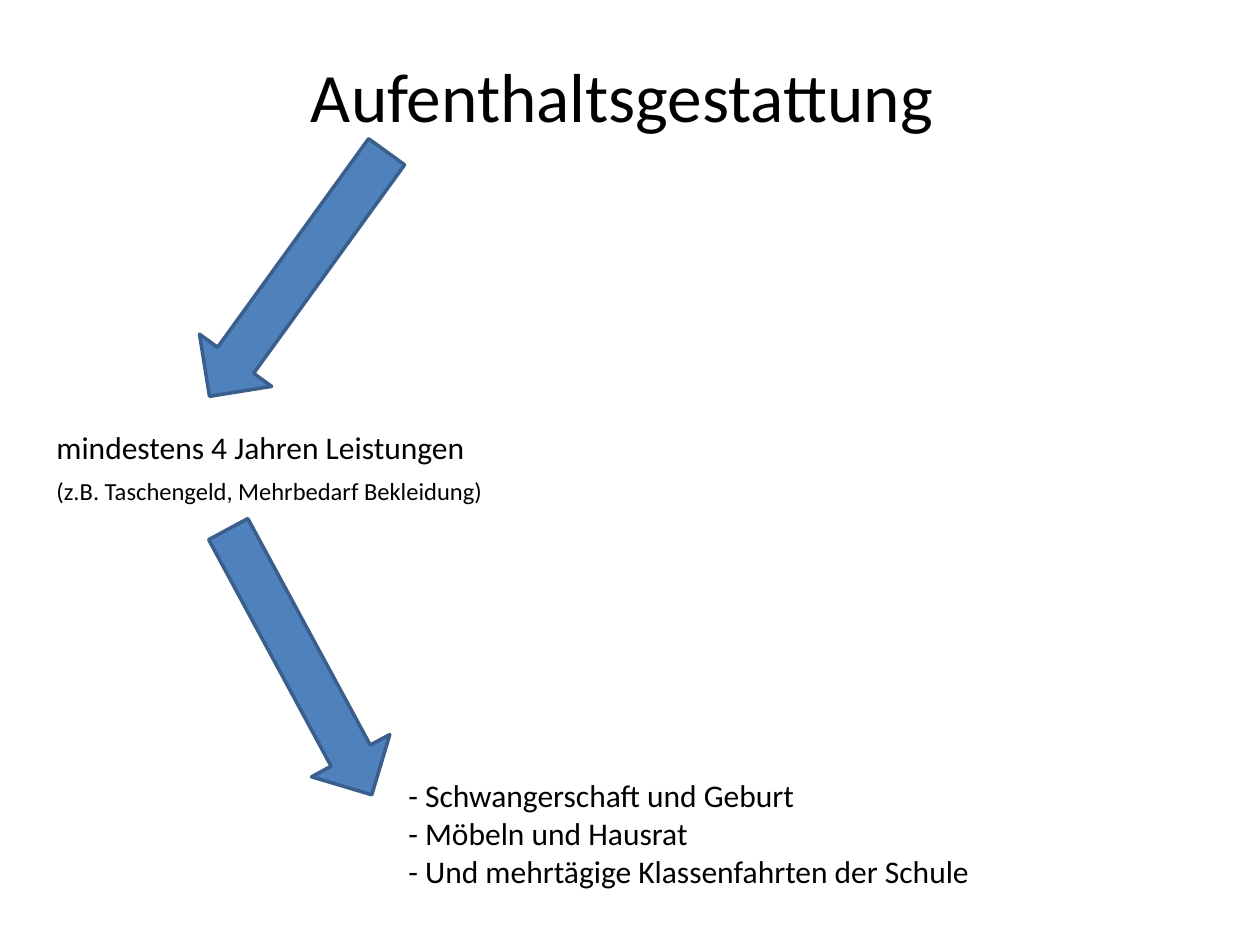
from pptx import Presentation
from pptx.dml.color import RGBColor
from pptx.enum.shapes import MSO_SHAPE as Shape
from pptx.enum.text import MSO_ANCHOR as Anchor, MSO_AUTO_SIZE as AutoSize, PP_ALIGN as Align
from pptx.util import Emu, Pt

PX = 914400 // 126
FONT = "Calibri"
COLORS = {"text": "000000", "arrow": "4F81BD", "edge": "3A5F8C"}

TITLE = "Aufenthaltsgestattung "
TITLE_BOX = (282, 26, 696, 137)
TEXTS = [
    (["mindestens 4 Jahren Leistungen"], (44, 422, 446, 50), 18, False),
    (["(z.B. Taschengeld, Mehrbedarf Bekleidung)"], (44, 470, 456, 43), 14, False),
    (["- Schwangerschaft und Geburt",
      "- Möbeln und Hausrat",
      "- Und mehrtägige Klassenfahrten der Schule"], (396, 770, 770, 127), 18, True),
]
ARROW_SIZE = (302, 89)
ARROWS = [((298, 274), 125.9), ((300, 662), 61.6)]


def px(*lengths):
    return [Emu(length * PX) for length in lengths]


def color(name):
    return RGBColor.from_string(COLORS[name])


def write(frame, lines, size, align=Align.LEFT, anchor=Anchor.TOP,
          wrap=True, fit=AutoSize.SHAPE_TO_FIT_TEXT):
    frame.word_wrap = wrap
    frame.auto_size = fit
    frame.vertical_anchor = anchor
    for number, line in enumerate(lines):
        paragraph = frame.paragraphs[0] if number == 0 else frame.add_paragraph()
        paragraph.alignment = align
        run = paragraph.add_run()
        run.text = line
        run.font.name = FONT
        run.font.size = Pt(size)
        run.font.color.rgb = color("text")


def add_arrow(slide, center, angle):
    width, height = ARROW_SIZE
    left, top = center[0] - width / 2, center[1] - height / 2
    arrow = slide.shapes.add_shape(Shape.RIGHT_ARROW, *px(left, top, width, height))
    arrow.rotation = angle
    arrow.shadow.inherit = False
    arrow.fill.solid()
    arrow.fill.fore_color.rgb = color("arrow")
    arrow.line.color.rgb = color("edge")
    arrow.line.width = Pt(2)


def main():
    deck = Presentation()
    deck.slide_width, deck.slide_height = px(1260, 945)
    slide = deck.slides.add_slide(deck.slide_layouts[5])

    title = slide.shapes.title
    title.left, title.top, title.width, title.height = px(*TITLE_BOX)
    write(title.text_frame, [TITLE], 39.6, align=Align.CENTER,
          anchor=Anchor.MIDDLE, fit=AutoSize.NONE)

    for center, angle in ARROWS:
        add_arrow(slide, center, angle)
    for lines, box, size, wrap in TEXTS:
        write(slide.shapes.add_textbox(*px(*box)).text_frame, lines, size, wrap=wrap)

    deck.save("out.pptx")


if __name__ == "__main__":
    main()
